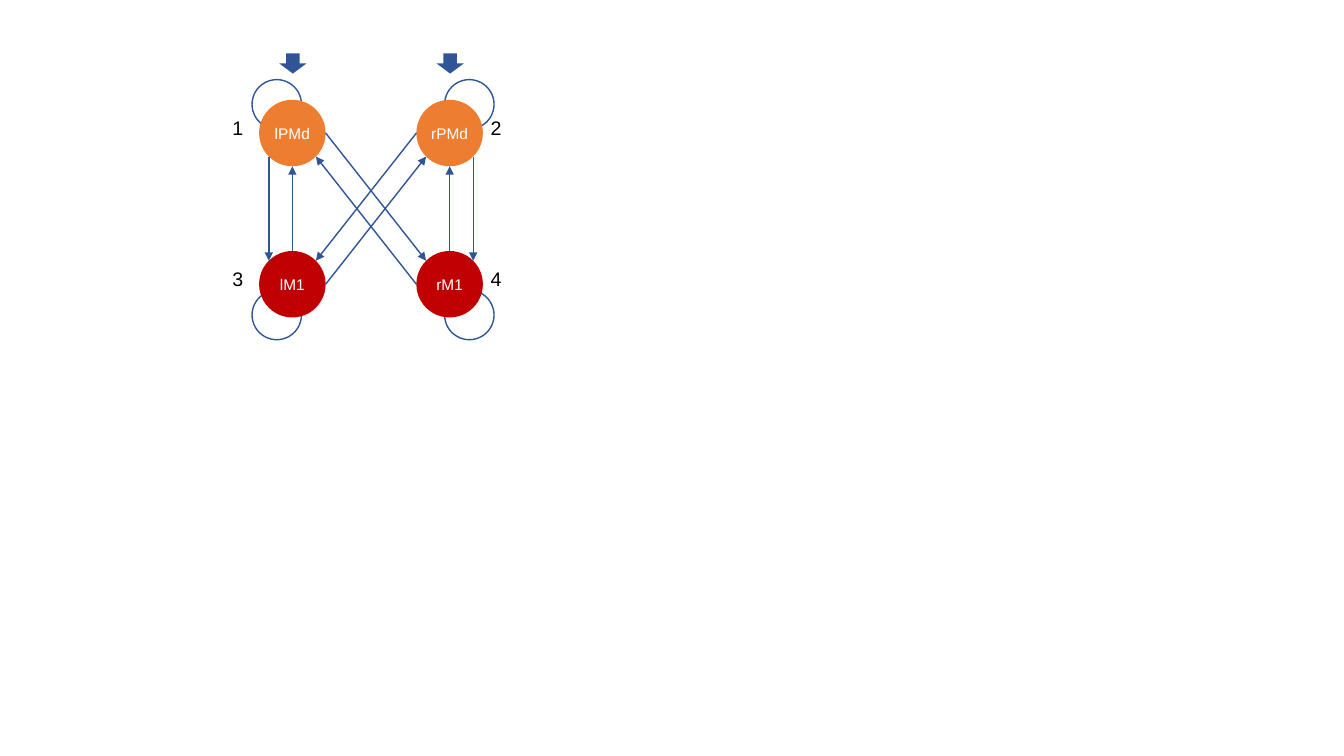
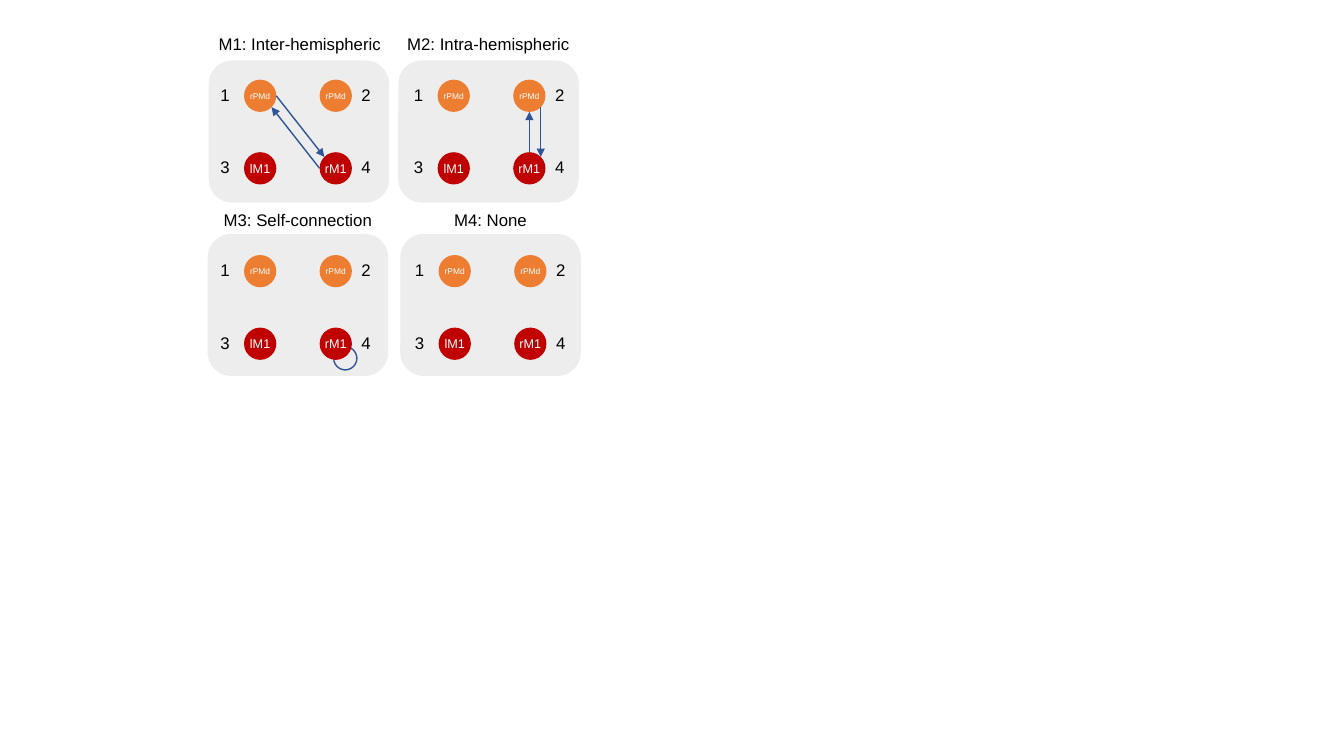
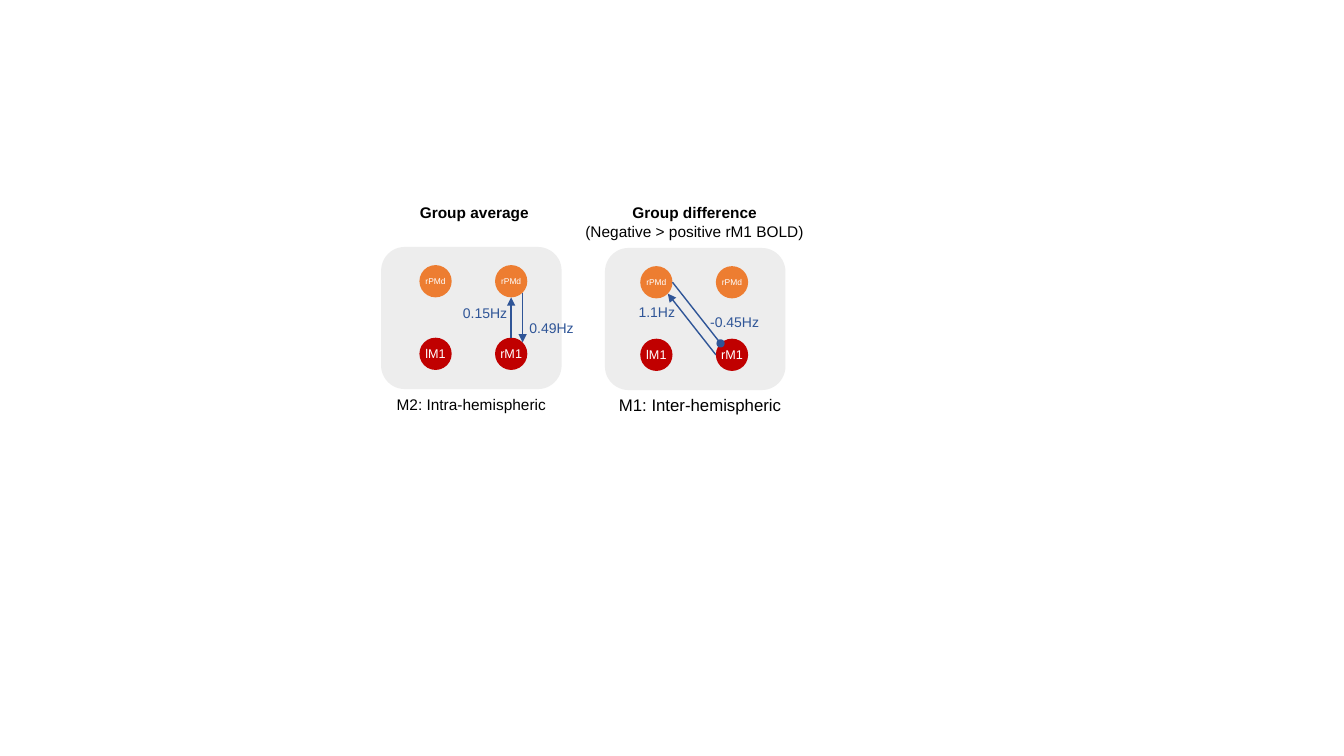
from dataclasses import dataclass

from pptx import Presentation
from pptx.dml.color import RGBColor
from pptx.enum import shapes, text
from pptx.oxml.ns import qn
from pptx.util import Inches, Pt

MSO = shapes.MSO_SHAPE


@dataclass(frozen=True)
class Theme:
    """Colours and type sizes of the deck."""
    font: str = "Arial"
    blue: str = "2F5597"
    orange: str = "ED7D31"
    red: str = "C00000"
    gray: str = "EDEDED"
    white: str = "FFFFFF"
    black: str = "000000"
    label: int = 12
    head: int = 11
    rate: int = 10
    line: int = 1


@dataclass(frozen=True)
class Scale:
    """Measures of one network, in inches, and its type sizes."""
    size: float
    dx: float
    dy: float
    names: tuple
    top: int
    low: int
    num: int
    cols: tuple
    drop: float
    box: tuple


T = Theme()
BIG = Scale(0.66, 1.56, 1.5, ("lPMd", "rPMd", "lM1", "rM1"),
            11, 11, 14, (-0.21, 2.35), 0.11, (0.14, 0.34))
SMALL = Scale(0.32, 0.75, 0.72, ("rPMd", "rPMd", "lM1", "rM1"),
              6, 9, 12, (-0.2, 1.2), 0, (0.07, 0.3))
PANEL = (1.79, 1.41)
DIAG = 0.146
SITES = {"n": (0.5, 0), "s": (0.5, 1), "w": (0, 0.5), "e": (1, 0.5),
         "nw": (DIAG, DIAG), "ne": (1 - DIAG, DIAG),
         "sw": (DIAG, 1 - DIAG), "se": (1 - DIAG, 1 - DIAG)}
INTRA = ((2, "se", 4, "ne"), (4, "n", 2, "s"))
INTER = ((1, "e", 4, "nw"), (4, "w", 1, "se"))
BLOCK = ((1, "e", 4, "nw", "oval"), (4, "w", 1, "se"))


def style(para, size, color, bold=False):
    """Centre a paragraph and set its font."""
    para.alignment = text.PP_ALIGN.CENTER
    para.font.name, para.font.size, para.font.bold = T.font, Pt(size), bold
    para.font.color.rgb = RGBColor.from_string(color)


def shape(slide, kind, x, y, w, h, fill=None, line=None):
    """Add a flat preset shape."""
    item = slide.shapes.add_shape(kind, Inches(x), Inches(y), Inches(w), Inches(h))
    item.shadow.inherit = False
    for part, color in ((item.fill, fill), (item.line.fill, line)):
        if color:
            part.solid()
            part.fore_color.rgb = RGBColor.from_string(color)
        else:
            part.background()
    if line:
        item.line.width = Pt(T.line)
    return item


def label(slide, box, lines, size, color=T.black, bold=False, inset=0.1):
    """Add centred text, of which only the first line may be bold."""
    frame = slide.shapes.add_textbox(*map(Inches, box)).text_frame
    frame.word_wrap = False
    frame.margin_left = frame.margin_right = Inches(inset)
    frame.text = lines
    for i, para in enumerate(frame.paragraphs):
        style(para, size, color, bold and i == 0)


def arrow(slide, start, end, tip="triangle"):
    """Draw a straight line with a tip at its end."""
    item = slide.shapes.add_connector(
        shapes.MSO_CONNECTOR.STRAIGHT, *map(Inches, (*start, *end)))
    item.line.color.rgb = RGBColor.from_string(T.blue)
    item.line.width = Pt(T.line)
    props = item.element.spPr
    ln = props.find(qn("a:ln"))
    ln.append(ln.makeelement(qn("a:tailEnd"), {"type": tip}))
    props.append(props.makeelement(qn("a:effectLst"), {}))


def loop(slide, x, y, size, right, low):
    """Draw an open ring, turned so that its gap faces the node."""
    ring = shape(slide, MSO.ARC, x, y, size, size, line=T.blue)
    ring.adjustments[0], ring.adjustments[1] = 42.39, 0
    for name, flip in (("flipH", right), ("flipV", low)):
        if flip:
            ring.element.spPr.xfrm.set(name, "1")


def network(slide, x, y, scale, links=(), loops=(), nums=True):
    """Draw four nodes from a top left corner, with links, loops and numbers."""
    spots = {i + 1: (x + i % 2 * scale.dx, y + i // 2 * scale.dy) for i in range(4)}

    def site(key, side):
        """Give the point on one side of a node."""
        return [at + part * scale.size for at, part in zip(spots[key], SITES[side])]

    for key, dx, dy, size in loops:
        left, top = spots[key]
        loop(slide, left + dx, top + dy, size, key % 2 == 0, key > 2)
    for key, (left, top) in spots.items():
        low = key > 2
        node = shape(slide, MSO.OVAL, left, top, scale.size, scale.size,
                     T.red if low else T.orange)
        frame = node.text_frame
        frame.margin_left = frame.margin_right = 0
        frame.margin_top = frame.margin_bottom = 0
        frame.word_wrap = False
        frame.vertical_anchor = text.MSO_ANCHOR.MIDDLE
        frame.text = scale.names[key - 1]
        style(frame.paragraphs[0], scale.low if low else scale.top, T.white)
        if nums:
            mid, (w, h) = x + scale.cols[(key - 1) % 2], scale.box
            label(slide, (mid - w / 2, top + scale.drop, w, h), str(key),
                  scale.num, inset=0)
    for a, out, b, into, *tip in links:
        arrow(slide, site(a, out), site(b, into), *tip)


def panel(slide, x, y, dx, dy, **parts):
    """Draw a gray card with a small network inset by dx and dy."""
    shape(slide, MSO.ROUNDED_RECTANGLE, x, y, *PANEL, T.gray)
    network(slide, x + dx, y + dy, SMALL, **parts)


def full(slide, x, y):
    """Draw the full model with every link and both inputs."""
    links = ((1, "sw", 3, "nw"), (2, "se", 4, "ne"), (3, "n", 1, "s"),
             (4, "n", 2, "s"), *INTER, (2, "w", 3, "ne"), (3, "e", 2, "sw"))
    loops = [(key, 0.28 if key % 2 == 0 else -0.07,
              0.39 if key > 2 else -0.2, 0.49) for key in (4, 3, 2, 1)]
    network(slide, x, y, BIG, links, loops)
    for col in range(2):
        shape(slide, MSO.DOWN_ARROW, x + 0.2 + col * BIG.dx, y - 0.46,
              0.27, 0.2, T.blue)


def models(slide):
    """Draw the four candidate models."""
    for name, x, y, dx, dy, parts, box in (
            ("M1: Inter-hemispheric", 2.07, 0.6, 0.35, 0.19,
             {"links": INTER}, (2.06, 0.29, 1.83, 0.3)),
            ("M2: Intra-hemispheric", 3.95, 0.6, 0.39, 0.19,
             {"links": INTRA}, (3.93, 0.29, 1.83, 0.3)),
            ("M3: Self-connection", 2.06, 2.32, 0.36, 0.21,
             {"loops": [(4, 0.14, 0.19, 0.23)]}, (2.11, 2.03, 1.69, 0.3)),
            ("M4: None", 3.97, 2.32, 0.38, 0.21, {}, (4.4, 2.03, 0.93, 0.3))):
        panel(slide, x, y, dx, dy, **parts)
        label(slide, box, name, T.label)


def result(slide, x, y, dx, links, head, name, rates):
    """Draw a card with its heading, model name and rates."""
    panel(slide, x, y, dx, 0.18, links=links, nums=False)
    (title, left, w, h), (model, off, wide, size) = head, name
    label(slide, (x + left, 1.97, w, h), title, T.head, bold=True)
    label(slide, (x + off, 3.87, wide, 0.3), model, size)
    for rate, rx, ry, rw in rates:
        label(slide, (x + rx, y + ry, rw, 0.27), rate, T.rate, T.blue)


def results(slide):
    """Draw the group average and the group difference."""
    result(slide, 3.78, 2.45, 0.38, INTRA,
           ("Group average", 0.28, 1.29, 0.29),
           ("M2: Intra-hemispheric", 0.05, 1.69, T.head),
           (("0.49Hz", 1.37, 0.67, 0.64), ("0.15Hz", 0.71, 0.52, 0.64)))
    result(slide, 6, 2.46, 0.35, BLOCK,
           ("Group difference\n(Negative > positive rM1 BOLD)", -0.3, 2.38, 0.47),
           ("M1: Inter-hemispheric", -0.04, 1.97, T.label),
           (("1.1Hz", 0.23, 0.5, 0.57), ("-0.45Hz", 0.94, 0.6, 0.69)))


def main():
    """Build and save the deck."""
    deck = Presentation()
    deck.slide_width, deck.slide_height = Inches(13.33), Inches(7.5)
    first, second, third = (deck.slides.add_slide(deck.slide_layouts[6])
                            for _ in range(3))
    full(first, 2.57, 0.99)
    models(second)
    results(third)
    deck.save("out.pptx")


if __name__ == "__main__":
    main()
